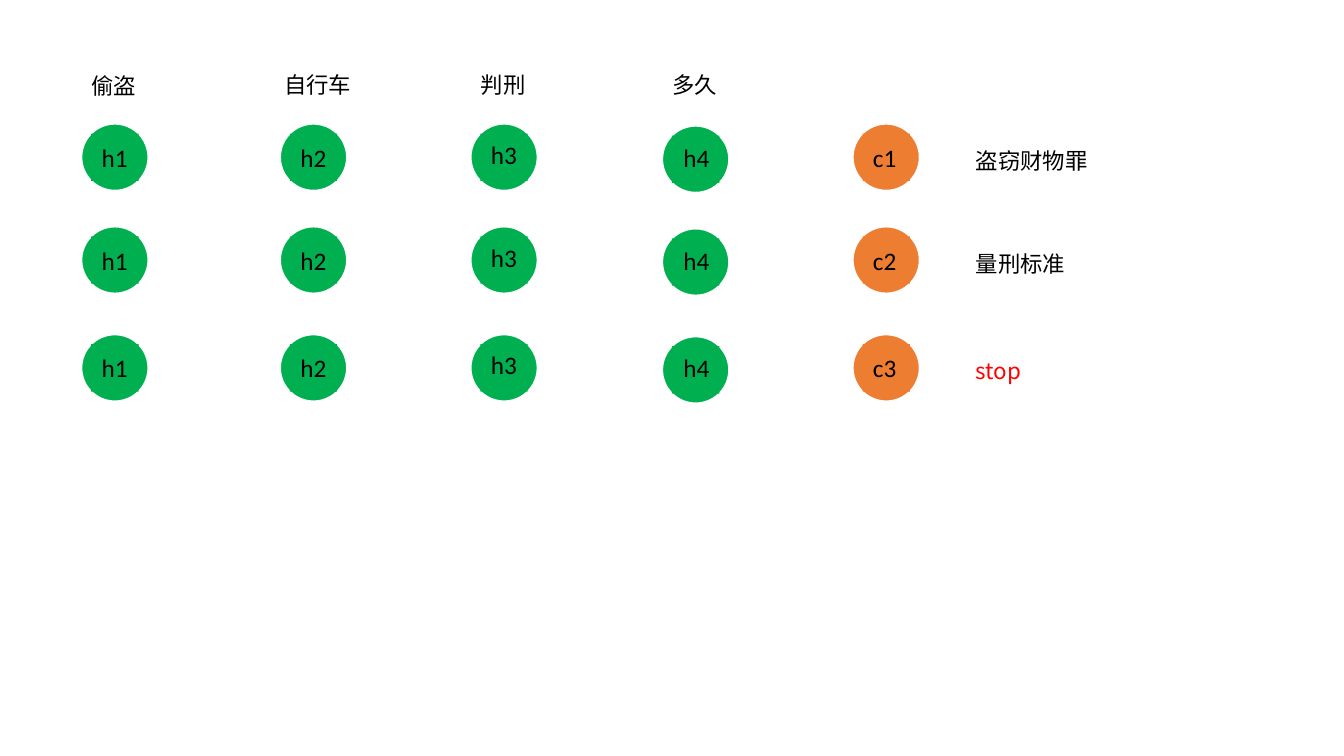
"""Build a slide of hidden-state rows, each with its context vector and output word."""
from pptx import Presentation
from pptx.dml.color import RGBColor
from pptx.enum.shapes import MSO_SHAPE as Shape
from pptx.enum.text import MSO_AUTO_SIZE as AutoSize
from pptx.oxml.ns import qn
from pptx.util import Inches, Pt
from lxml.etree import SubElement

GREEN, ORANGE, WHITE, BLACK, RED = "00B050", "ED7D31", "FFFFFF", "000000", "FF0000"
LATIN, CHINESE = "Calibri", "Noto Sans CJK SC"
DISC, CORE = 0.66, 0.47
INSET = (DISC - CORE) / 2


def color(code):
    return RGBColor.from_string(code)


def add_label(left, top, width, height, text, size, font, code=BLACK, wrap=False):
    box = page.shapes.add_textbox(*map(Inches, (left, top, width, height)))
    frame = box.text_frame
    frame.word_wrap = wrap
    frame.auto_size = AutoSize.SHAPE_TO_FIT_TEXT
    span = frame.paragraphs[0].add_run()
    span.text = text
    for name, value in {"size": Pt(size), "name": font}.items():
        setattr(span.font, name, value)
    span.font.color.rgb = color(code)
    SubElement(span.font._element, qn("a:ea"), typeface=font)


deck = Presentation()
deck.slide_width, deck.slide_height = Inches(13.33), Inches(7.5)
page = deck.slides.add_slide(deck.slide_layouts[6])

columns = [
    ("h{}", 0.81, 0, 0.1, 0.13, GREEN),
    ("h{}", 2.78, 0, 0.1, 0.13, GREEN),
    ("h{}", 4.67, 0, 0.1, 0.1, GREEN),
    ("h{}", 6.57, 0.02, 0.11, 0.13, GREEN),
    ("c{}", 8.46, 0, 0.1, 0.13, ORANGE),
]
row_tops = [1.23, 2.25, 3.32]

for row, top in enumerate(row_tops, 1):
    for column, (pattern, left, drop, shift, text_drop, fill) in enumerate(columns, 1):
        node = page.shapes.add_group_shape()
        for preset, inset, side in ((Shape.OVAL, 0, DISC), (Shape.RECTANGLE, INSET, CORE)):
            part = node.shapes.add_shape(
                preset, Inches(left + inset), Inches(top + drop + inset), Inches(side), Inches(side))
            part.shadow.inherit = False
            part.fill.solid()
            part.fill.fore_color.rgb = color(fill)
            if preset == Shape.OVAL:
                part.line.color.rgb = color(WHITE)
                part.line.width = Pt(1)
            else:
                part.line.fill.background()
        number = column if fill == GREEN else row
        add_label(left + shift, top + text_drop, 0.55, 0.4,
                  pattern.format(number), 18, LATIN, wrap=True)

words = [
    ("偷盗", 0.81, 0.67, 0.65, BLACK),
    ("自行车", 2.72, 0.66, 0.88, BLACK),
    ("判刑", 4.67, 0.66, 0.65, BLACK),
    ("多久", 6.57, 0.66, 0.65, BLACK),
    ("盗窃财物罪", 9.58, 1.41, 1.32, BLACK),
    ("量刑标准", 9.58, 2.43, 1.1, BLACK),
    ("stop", 9.58, 3.49, 0.67, RED),
]
for text, left, top, width, code in words:
    add_label(left, top, width, 0.37, text, 16, CHINESE, code)

deck.save("out.pptx")
